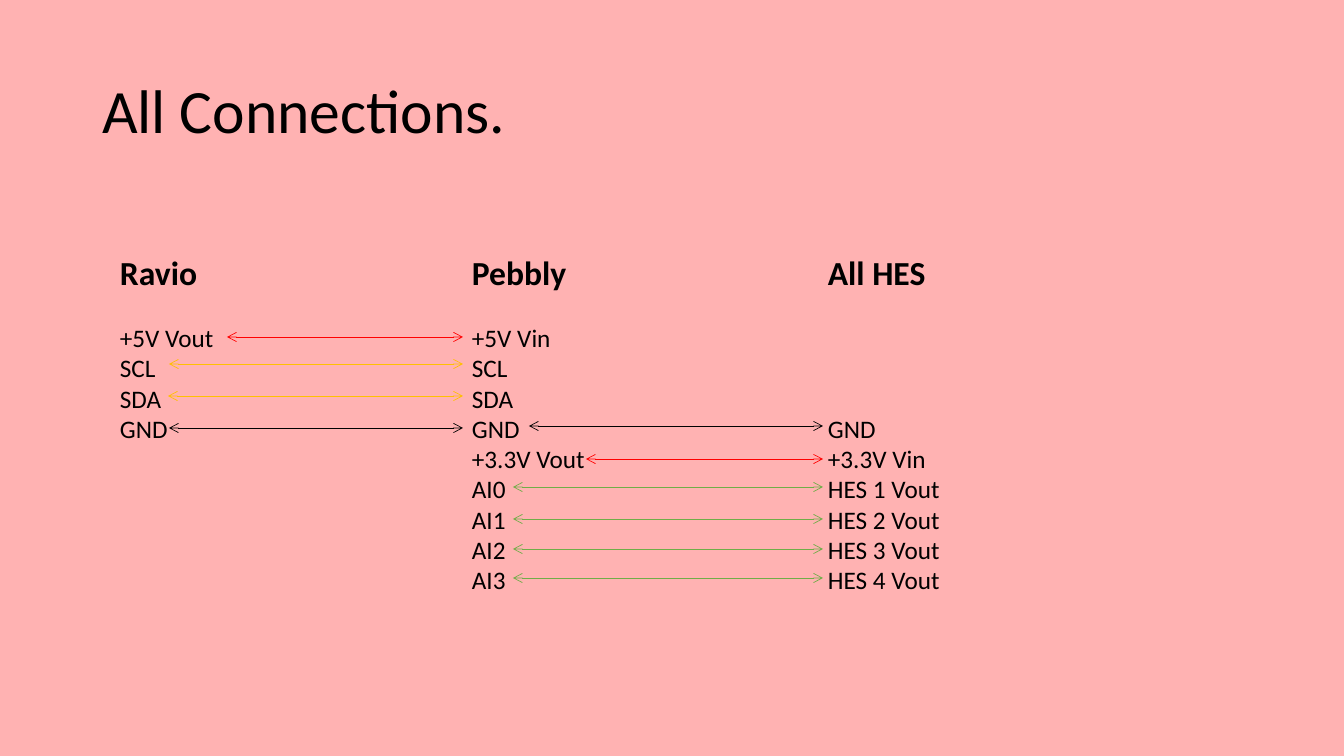
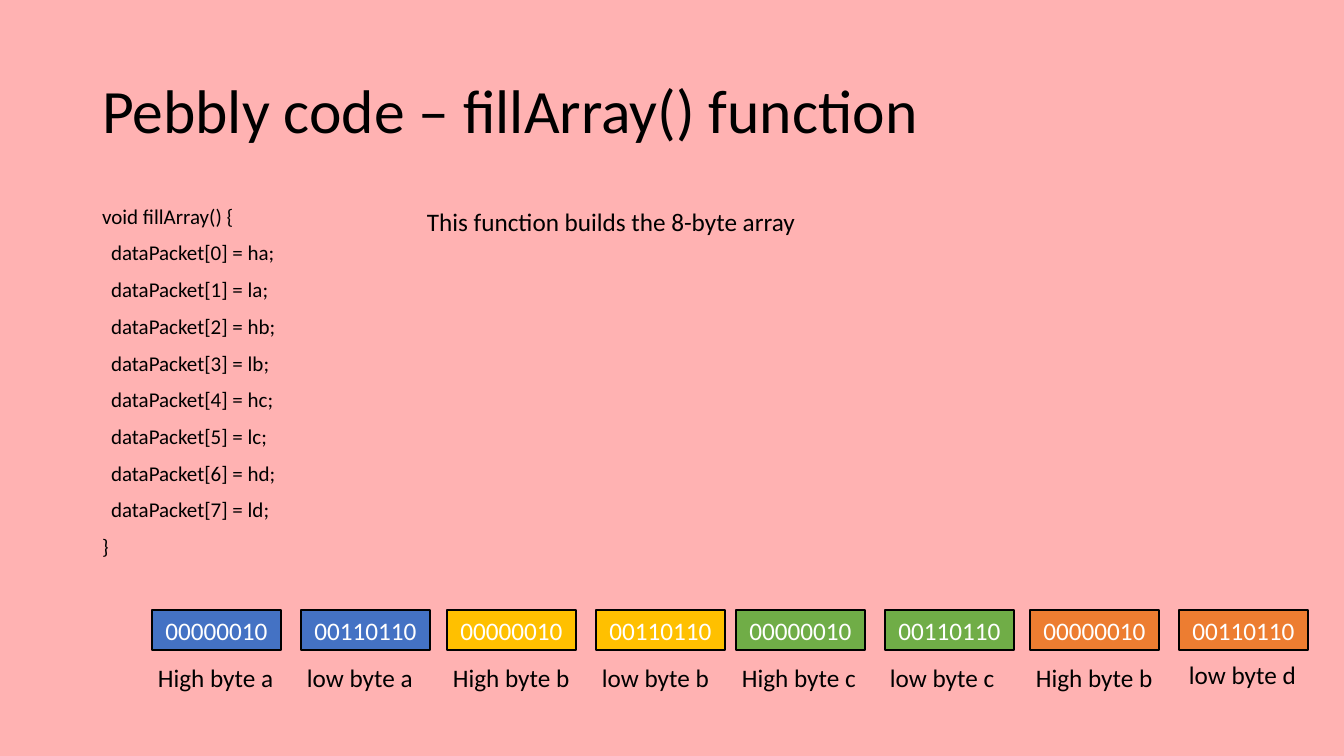
import pptx
import pptx.dml.color
import pptx.enum.shapes
import pptx.enum.text
import pptx.oxml.ns
import pptx.util
import lxml.etree

EMU_PER_PX = 914400 / 100.8
FONT = "Calibri"
BACKGROUND, BLACK, WHITE = "FFB2B2", "000000", "FFFFFF"
RED, GOLD, GREEN, BLUE, ORANGE = "FF0000", "FFC000", "70AD47", "4472C4", "ED7D31"
TITLE_BOX = (92, 41, 1159, 146)
ROW_PITCH = 21.6

COLUMNS = [
    ((110, 247, 117, 234), "Ravio", 1, ["+5V Vout", "SCL", "SDA", "GND"]),
    ((462, 247, 134, 448), "Pebbly", 1,
     ["+5V Vin", "SCL", "SDA", "GND", "+3.3V Vout", "AI0", "AI1", "AI2", "AI3"]),
    ((818, 247, 133, 448), "All HES", 4,
     ["GND", "+3.3V Vin", "HES 1 Vout", "HES 2 Vout", "HES 3 Vout", "HES 4 Vout"]),
]
LEFT_WIRES = [(RED, 227, 337), (GOLD, 169, 364), (GOLD, 168, 396), (BLACK, 169, 428)]
RIGHT_WIRES = [(BLACK, 529, 426), (RED, 586, 459)] + [
    (GREEN, 513, y) for y in (487, 519, 549, 578)]
LEFT_WIRE_END, RIGHT_WIRE_END = 463, 823

BYTE_TOP, BYTE_WIDTH, BYTE_HEIGHT, BYTE_STEP = 610, 129, 40, 149
BYTE_PAIRS = [
    (BLUE, 152, "High byte a", "low byte a", (297, 657)),
    (GOLD, 447, "High byte b", "low byte b", (592, 657)),
    (GREEN, 736, "High byte c", "low byte c", (880, 657)),
    (ORANGE, 1030, "High byte b", "low byte d", (1179, 654)),
]


def px(length):
    """Turn pixels into EMU."""
    return pptx.util.Emu(round(length * EMU_PER_PX))


def rgb(value):
    """Turn a hex string into a colour."""
    return pptx.dml.color.RGBColor.from_string(value)


def write(paragraph, text, size=18, colour=BLACK, bold=False):
    """Add one formatted run to a paragraph."""
    run = paragraph.add_run()
    run.text = text
    run.font.name = FONT
    run.font.size = pptx.util.Pt(size)
    run.font.bold = bold
    run.font.color.rgb = rgb(colour)


def next_paragraph(frame, index):
    """Return the first paragraph of a frame, or a new one after it."""
    return frame.add_paragraph() if index else frame.paragraphs[0]


def place(placeholder, box):
    """Move a placeholder and return its text frame without autofit."""
    placeholder.left, placeholder.top, placeholder.width, placeholder.height = map(px, box)
    frame = placeholder.text_frame
    frame.auto_size = pptx.enum.text.MSO_AUTO_SIZE.NONE
    return frame


def add_titled_slide(deck, layout_index, title):
    """Add a slide with the shared title style."""
    slide = deck.slides.add_slide(deck.slide_layouts[layout_index])
    frame = place(slide.shapes.title, TITLE_BOX)
    frame.vertical_anchor = pptx.enum.text.MSO_ANCHOR.MIDDLE
    heading = frame.paragraphs[0]
    heading.alignment = pptx.enum.text.PP_ALIGN.LEFT
    heading.line_spacing = 0.9
    write(heading, title, 44)
    return slide


def add_text_frame(slide, box, wrap=False):
    """Add a text box that grows with its text and return its frame."""
    frame = slide.shapes.add_textbox(*map(px, box)).text_frame
    frame.word_wrap = wrap
    frame.auto_size = pptx.enum.text.MSO_AUTO_SIZE.SHAPE_TO_FIT_TEXT
    return frame


def add_pin_column(slide, box, device, first_row, pins):
    """List the pins of a device, starting some rows below its name."""
    frame = add_text_frame(slide, box)
    write(frame.paragraphs[0], device, 24, bold=True)
    for index, pin in enumerate(pins):
        row = frame.add_paragraph()
        if index == 0:
            row.space_before = pptx.util.Pt(first_row * ROW_PITCH)
        write(row, pin)


def add_wire(slide, colour, start, end, y):
    """Draw a horizontal wire with an arrowhead at both ends."""
    wire = slide.shapes.add_connector(
        pptx.enum.shapes.MSO_CONNECTOR.STRAIGHT, px(start), px(y), px(end), px(y))
    wire.line.color.rgb = rgb(colour)
    wire.line.width = pptx.util.Pt(0.5)
    qn = pptx.oxml.ns.qn
    properties = wire._element.spPr
    outline = properties.find(qn("a:ln"))
    for end_tag in ("a:headEnd", "a:tailEnd"):
        lxml.etree.SubElement(outline, qn(end_tag), type="arrow")
    lxml.etree.SubElement(properties, qn("a:effectLst"))


def add_code(placeholder, box, lines):
    """Write code lines without bullets, each with its indent in px."""
    frame = place(placeholder, box)
    for index, (indent, text) in enumerate(lines):
        line = next_paragraph(frame, index)
        line.line_spacing = 0.9
        line.space_before = pptx.util.Pt(10)
        properties = line._p.get_or_add_pPr()
        properties.set("marL", str(px(indent)))
        properties.set("indent", "0")
        lxml.etree.SubElement(properties, pptx.oxml.ns.qn("a:buNone"))
        write(line, text, 15)


def add_byte(slide, left, colour, bits):
    """Draw one byte of the array as a filled box."""
    byte = slide.shapes.add_shape(
        pptx.enum.shapes.MSO_SHAPE.RECTANGLE,
        *map(px, (left, BYTE_TOP, BYTE_WIDTH, BYTE_HEIGHT)))
    byte.shadow.inherit = False
    byte.fill.solid()
    byte.fill.fore_color.rgb = rgb(colour)
    byte.line.color.rgb = rgb(BLACK)
    byte.line.width = pptx.util.Pt(1)
    frame = byte.text_frame
    frame.vertical_anchor = pptx.enum.text.MSO_ANCHOR.MIDDLE
    frame.paragraphs[0].alignment = pptx.enum.text.PP_ALIGN.CENTER
    write(frame.paragraphs[0], bits, colour=WHITE)


def add_caption(slide, box, text, wrap=True):
    """Write a single line of text in its own box."""
    write(add_text_frame(slide, box, wrap).paragraphs[0], text)


def build_connections(deck):
    """Build the slide of the wiring between the devices."""
    slide = add_titled_slide(deck, 5, "All Connections.")
    for column in COLUMNS:
        add_pin_column(slide, *column)
    for wires, end in ((LEFT_WIRES, LEFT_WIRE_END), (RIGHT_WIRES, RIGHT_WIRE_END)):
        for colour, start, y in wires:
            add_wire(slide, colour, start, end, y)


def build_fill_array(deck):
    """Build the slide of the code and the byte array it fills."""
    slide = add_titled_slide(deck, 1, "Pebbly code – fillArray() function")
    sources = [half + channel for channel in "abcd" for half in "hl"]
    assignments = [(9, f"dataPacket[{i}] = {source};") for i, source in enumerate(sources)]
    code = [(0, "void fillArray() {"), *assignments, (0, "}")]
    add_code(slide.placeholders[1], (92, 201, 512, 480), code)
    add_caption(slide, (417, 201, 393, 40), "This function builds the 8-byte array", wrap=False)
    for colour, left, high, low, (low_left, low_top) in BYTE_PAIRS:
        add_byte(slide, left, colour, "00000010")
        add_byte(slide, left + BYTE_STEP, colour, "00110110")
        add_caption(slide, (left - 4, 657, 149, 40), high)
        add_caption(slide, (low_left, low_top, 171, 40), low)


def main():
    """Build and save the deck."""
    deck = pptx.Presentation()
    deck.slide_width, deck.slide_height = px(1344), px(756)
    backdrop = deck.slide_master.background.fill
    backdrop.solid()
    backdrop.fore_color.rgb = rgb(BACKGROUND)
    build_connections(deck)
    build_fill_array(deck)
    deck.save("out.pptx")


if __name__ == "__main__":
    main()
